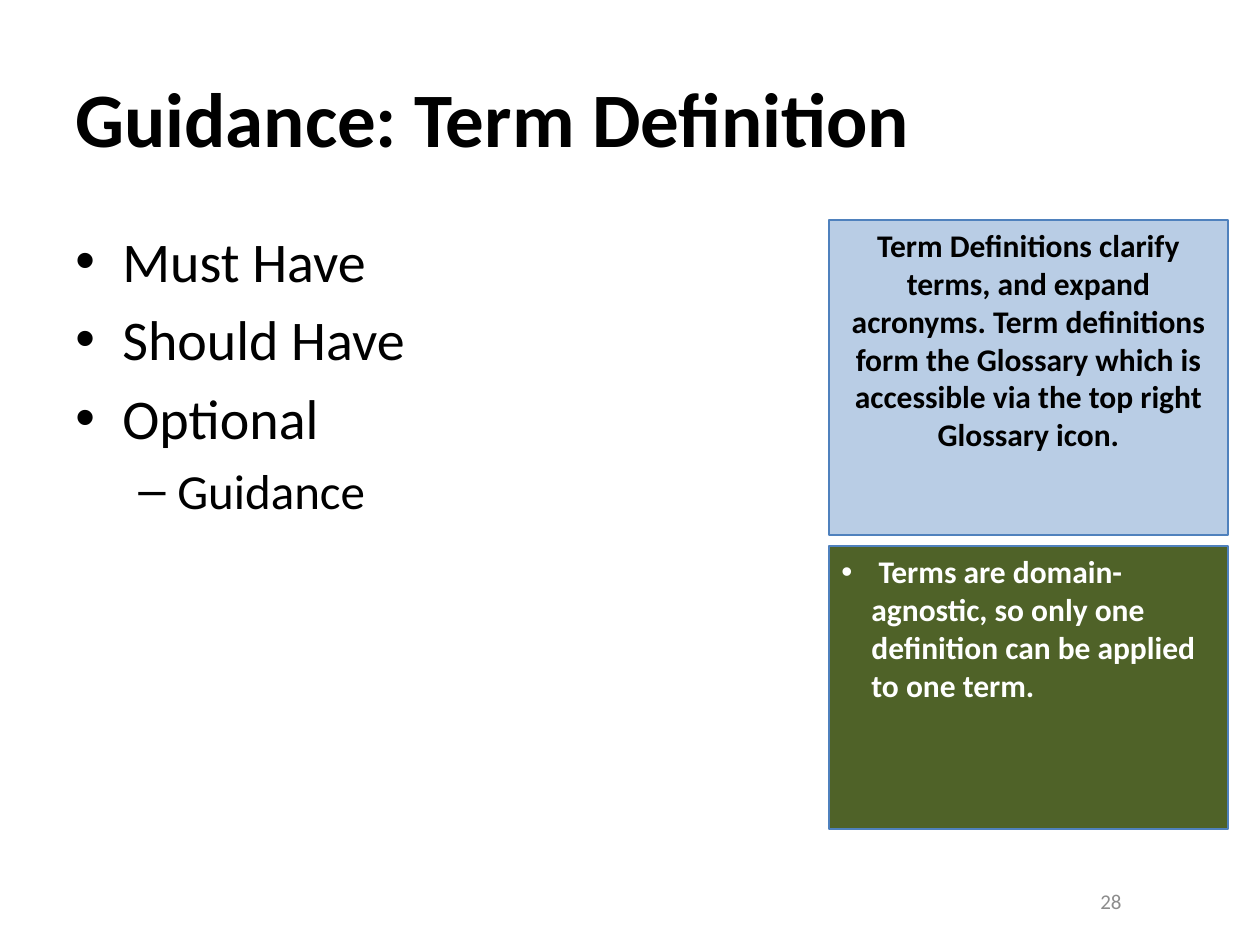
from lxml.etree import SubElement
from pptx import Presentation
from pptx.dml.color import RGBColor
from pptx.enum.shapes import MSO_SHAPE
from pptx.enum.text import MSO_ANCHOR, PP_ALIGN
from pptx.oxml.ns import qn
from pptx.util import Pt

EMU_PER_PX = 914400 / 126


def px(length):
    return round(length * EMU_PER_PX)


def write(paragraph, text, color, bullet=None, margin=0, hanging=0, **formats):
    run = paragraph.add_run()
    run.text = text
    run.font.name = "Calibri"
    run.font.color.rgb = RGBColor.from_string(color)
    for key, value in formats.items():
        setattr(run.font, key, value)
    if bullet:
        properties = paragraph._p.get_or_add_pPr()
        properties.set("marL", str(px(margin)))
        properties.set("indent", str(-px(hanging)))
        SubElement(properties, qn("a:buFont"), typeface="Arial")
        SubElement(properties, qn("a:buChar"), char=bullet)


presentation = Presentation()
presentation.slide_width = px(1260)
presentation.slide_height = px(945)
slide = presentation.slides.add_slide(presentation.slide_layouts[6])

heading = slide.shapes.add_textbox(px(63), px(38), px(1134), px(157)).text_frame
heading.word_wrap = True
heading.vertical_anchor = MSO_ANCHOR.MIDDLE
write(heading.paragraphs[0], "Guidance: Term Definition", "000000", size=Pt(44), bold=True)

page_number = slide.shapes.add_textbox(px(903), px(876), px(231), px(50)).text_frame
page_number.word_wrap = True
page_number.vertical_anchor = MSO_ANCHOR.MIDDLE
page_number.paragraphs[0].alignment = PP_ALIGN.RIGHT
write(page_number.paragraphs[0], "28", "8C8C8C", size=Pt(12))

priorities = slide.shapes.add_textbox(px(63), px(220), px(756), px(609)).text_frame
priorities.word_wrap = True
levels = [
    {"bullet": "•", "margin": 47, "hanging": 47, "size": Pt(32)},
    {"bullet": "–", "margin": 102, "hanging": 39, "size": Pt(28)},
]
entries = [("Must Have", 0), ("Should Have", 0), ("Optional", 0), ("Guidance", 1)]
for index, (entry, level) in enumerate(entries):
    paragraph = priorities.add_paragraph() if index else priorities.paragraphs[0]
    paragraph.level = level
    paragraph.space_before = Pt(6.4 if level == 0 else 5.6)
    write(paragraph, entry, "000000", **levels[level])

panels = [
    (220, 315, "B9CDE5", "000000", PP_ALIGN.CENTER, {},
     "Term Definitions clarify terms, and expand acronyms. Term definitions form "
     "the Glossary which is accessible via the top right Glossary icon."),
    (546, 283, "4F6228", "FFFFFF", PP_ALIGN.LEFT,
     {"bullet": "•", "margin": 30, "hanging": 30},
     " Terms are domain-agnostic, so only one definition can be applied to one term."),
]
for top, height, fill, color, alignment, bullet_format, statement in panels:
    panel = slide.shapes.add_shape(MSO_SHAPE.RECTANGLE, px(829), px(top), px(399), px(height))
    panel.shadow.inherit = False
    panel.fill.solid()
    panel.fill.fore_color.rgb = RGBColor.from_string(fill)
    panel.line.color.rgb = RGBColor.from_string("4F81BD")
    panel.line.width = Pt(0.75)
    panel.text_frame.word_wrap = True
    panel.text_frame.vertical_anchor = MSO_ANCHOR.TOP
    paragraph = panel.text_frame.paragraphs[0]
    paragraph.alignment = alignment
    paragraph.space_before = Pt(3.6)
    write(paragraph, statement, color, size=Pt(18), bold=True, **bullet_format)

presentation.save("out.pptx")
